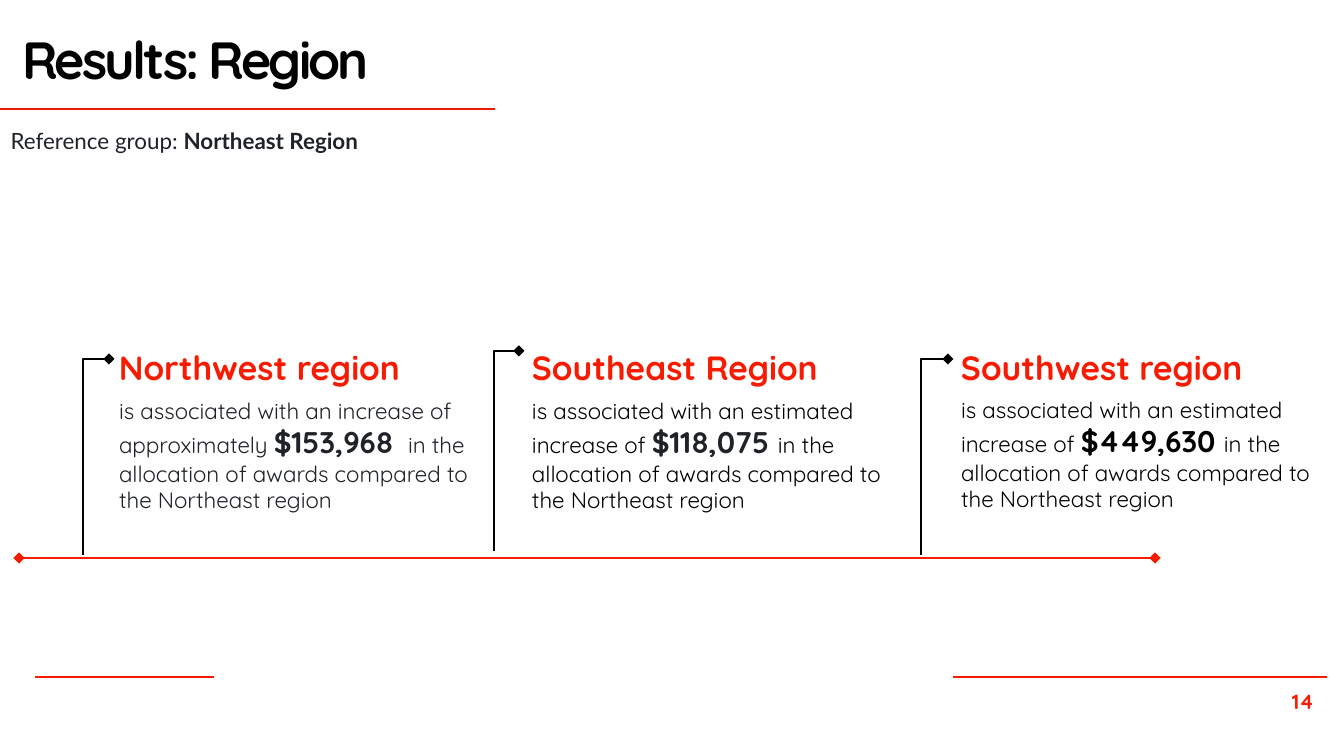
from pptx import Presentation
from pptx.dml.color import RGBColor
from pptx.enum.shapes import MSO_CONNECTOR as Link
from pptx.enum.text import MSO_ANCHOR as Anchor, PP_ALIGN as Align
from pptx.oxml.ns import qn
from pptx.util import Emu, Pt
from lxml.etree import SubElement

EMU_PER_PX = 914400 / 134.4
RED, BLACK, INK = "F81B02", "000000", "1F2328"
HEADING_FONT, NOTE_FONT = "Quicksand", "Lato"
INSET = 13

# Per region: left, heading, lead-in, amount, ending, text colour, amount colour,
# body top, body width, bracket (stem x, top, bottom)
REGIONS = [
    (106, "Northwest region", "is associated with an increase of approximately ",
     "$153,968 ", " in the allocation of awards compared to the Northeast region",
     INK, INK, 384, 379, (83, 359, 555)),
    (519, "Southeast Region", "is associated with an estimated increase of ",
     "$118,075\u00a0", "in the allocation of awards compared to the Northeast region",
     BLACK, INK, 384, 386, (494, 351, 551)),
    (948, "Southwest region", "is associated with an estimated increase of ",
     "$449,630 ", "in the allocation of awards compared to the Northeast region",
     BLACK, BLACK, 383, 379, (921, 359, 555)),
]


def px(length):
    return Emu(round(length * EMU_PER_PX))


def rgb(value):
    return RGBColor.from_string(value)


def add_text(slide, box, runs, font=HEADING_FONT, align=Align.LEFT, inset=INSET):
    """Add one paragraph; each run is (words, size, colour, bold)."""
    frame = slide.shapes.add_textbox(*map(px, box)).text_frame
    frame.word_wrap = True
    frame.vertical_anchor = Anchor.TOP
    frame.margin_left = frame.margin_right = px(INSET)
    frame.margin_top = frame.margin_bottom = px(inset)
    paragraph = frame.paragraphs[0]
    paragraph.alignment = align
    for words, size, color, bold in runs:
        run = paragraph.add_run()
        run.text = words
        run.font.name = font
        run.font.size = Pt(size)
        run.font.bold = bold
        run.font.color.rgb = rgb(color)
    return paragraph


def add_line(slide, start, end, color, width=0.75, diamonds=(), kind=Link.STRAIGHT):
    """Add a connector; diamonds lists the ends to mark, headEnd before tailEnd."""
    line = slide.shapes.add_connector(kind, *map(px, start + end))
    line.line.color.rgb = rgb(color)
    line.line.width = Pt(width)
    properties = line._element.spPr
    for end_tag in diamonds:
        SubElement(properties.find(qn("a:ln")), qn(end_tag), type="diamond")
    SubElement(properties, qn("a:effectLst"))
    return line


def add_bracket(slide, tip_x, stem_x, top, bottom):
    """Run left from the diamond tip, then down the stem."""
    bracket = add_line(slide, (tip_x, top), (stem_x, bottom), BLACK,
                       diamonds=("a:headEnd",), kind=Link.ELBOW)
    bracket._element.spPr.find(qn("a:prstGeom")).set("prst", "bentConnector2")


def add_region(slide, left, heading, lead, amount, ending, color, amount_color,
               body_top, body_width, bracket):
    add_text(slide, (left, 340, 343, 20), [(heading, 18, RED, True)])
    add_text(slide, (left, body_top, body_width, 99), [
        (lead, 12, color, False),
        (amount, 16, amount_color, True),
        (ending, 12, color, False),
    ])
    add_bracket(slide, max(left, 109), *bracket)


def main():
    deck = Presentation()
    deck.slide_width, deck.slide_height = px(1344), px(756)
    slide = deck.slides.add_slide(deck.slide_layouts[6])

    # Footer
    add_line(slide, (214, 677), (35, 677), RED)
    add_line(slide, (953, 677), (1327, 677), RED)
    add_text(slide, (1241, 677, 86, 58), [("14", 11, RED, True)], align=Align.RIGHT)

    # Title and reference group
    title = add_text(slide, (9, 24, 911, 85), [("Results: Region", 28, BLACK, True)])
    title.line_spacing = 0.85
    title.runs[0].font._element.set("spc", "-150")
    add_line(slide, (0, 109), (495, 109), "ED1A02")
    add_text(slide, (-8, 120, 441, 40), [
        ("\u00a0Reference group: ", 12, INK, False),
        ("Northeast Region", 12, INK, True),
    ], font=NOTE_FONT, align=Align.JUSTIFY, inset=7)

    # Regions on the baseline
    for region in REGIONS:
        add_region(slide, *region)
    add_line(slide, (19, 558), (1155, 558), RED, 1.5, ("a:headEnd", "a:tailEnd"))

    deck.save("out.pptx")


if __name__ == "__main__":
    main()
